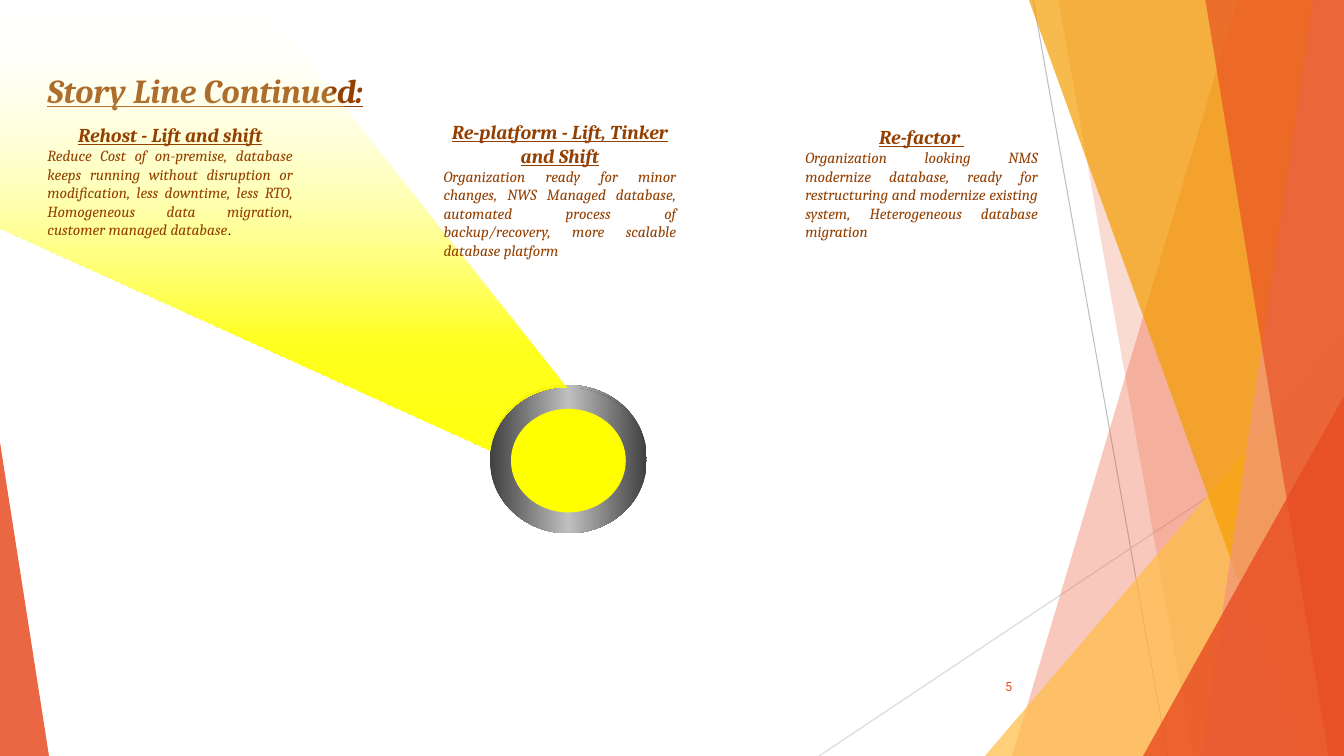
from dataclasses import dataclass

from lxml.etree import SubElement
from pptx import Presentation
from pptx.dml.color import RGBColor
from pptx.enum.shapes import MSO_CONNECTOR, MSO_SHAPE
from pptx.enum.text import MSO_ANCHOR, MSO_AUTO_SIZE, PP_ALIGN
from pptx.oxml.ns import qn
from pptx.util import Pt


@dataclass(frozen=True)
class Theme:
    """Colours, fonts and type sizes of the slide."""
    ink: str = "933F00"
    black: str = "000000"
    red: str = "E84C22"
    salmon: str = "F1947A"
    amber: str = "FFBD47"
    orange: str = "F49D00"
    light: str = "FFFF00"
    dark_steel: str = "404040"
    steel: str = "BFBFBF"
    pale_line: str = "D9D9D9"
    white: str = "FFFFFF"
    serif: str = "Cambria"
    sans: str = "Roboto"
    title: int = 24
    heading: int = 14
    body: int = 11
    number: int = 9


THEME = Theme()
WIDTH, HEIGHT = 960, 540
HEADING = {"name": THEME.serif, "size": Pt(THEME.heading), "bold": True, "italic": True, "underline": True}
TITLE = {**HEADING, "size": Pt(THEME.title)}
BODY = {**HEADING, "size": Pt(THEME.body), "bold": False, "underline": False}
STOP = {**BODY, "name": THEME.sans, "italic": False}
NUMBER = {"name": THEME.sans, "size": Pt(THEME.number)}

COLUMNS = [
    (1, (26.6, 84.2, 190, 104.4), "Rehost - Lift and shift",
     "Reduce Cost of on-premise, database keeps running without disruption or modification, "
     "less downtime, less RTO, Homogeneous data migration, customer managed database", "."),
    (2, (309.6, 82.1, 180.7, 108), "Re-platform - Lift, Tinker and Shift",
     "Organization ready for minor changes, NWS Managed database, automated process of "
     "backup/recovery, more scalable database platform", ""),
    (3, (568, 85.7, 180.7, 90.7), "Re-factor ",
     "Organization looking NMS modernize database, ready for restructuring and modernize "
     "existing system, Heterogeneous database migration", ""),
]


def apply(target, values):
    """Set every attribute named in values on target."""
    for name, value in values.items():
        setattr(target, name, value)


def place(shape, box):
    """Move and size a shape to a box given in points."""
    apply(shape, dict(zip(("left", "top", "width", "height"), map(Pt, box))))


def bring_to_front(shape):
    """Put a shape on top of everything drawn so far."""
    shape.element.getparent().append(shape.element)


def add_alpha(color, percent):
    """Give a colour element an opacity."""
    SubElement(color, qn("a:alpha")).set("val", str(percent * 1000))


def paint(shape, color, opacity=100):
    """Fill a shape plainly, without outline or shadow."""
    shape.shadow.inherit = False
    shape.line.fill.background()
    shape.fill.solid()
    shape.fill.fore_color.rgb = RGBColor.from_string(color)
    if opacity < 100:
        add_alpha(shape.element.spPr.find(qn("a:solidFill"))[0], opacity)


def paint_gradient(shape, stops, angle):
    """Fill a shape with (position, colour, opacity) stops."""
    paint(shape, stops[0][1])
    shape.fill.gradient()
    gradient = shape.element.spPr.find(qn("a:gradFill"))
    stop_list = gradient.find(qn("a:gsLst"))
    for old in list(stop_list):
        stop_list.remove(old)
    for position, color, opacity in stops:
        stop = SubElement(stop_list, qn("a:gs"), pos=str(position * 1000))
        add_alpha(SubElement(stop, qn("a:srgbClr"), val=color), opacity)
    gradient.find(qn("a:lin")).set("ang", str(angle * 60000))


def add_polygon(page, points):
    """Draw a closed outline through points."""
    builder = page.shapes.build_freeform(*points[0], scale=Pt(1))
    builder.add_line_segments(points[1:], close=True)
    return builder.convert_to_shape()


def write(para, text, values, color=THEME.ink):
    """Append a formatted span to a paragraph."""
    span = para.add_run()
    span.text = text
    apply(span.font, values)
    span.font.color.rgb = RGBColor.from_string(color)


def prepare_text(shape, anchor=MSO_ANCHOR.TOP, fit=MSO_AUTO_SIZE.SHAPE_TO_FIT_TEXT):
    """Set wrapping, anchor and fit, and return the text frame."""
    apply(shape.text_frame, {"word_wrap": True, "vertical_anchor": anchor, "auto_size": fit})
    return shape.text_frame


def format_para(para, align):
    """Align a paragraph and clear its spacing, indent and bullet."""
    apply(para, {"alignment": align, "space_before": Pt(0), "space_after": Pt(0), "line_spacing": 1.0})
    properties = para._p.get_or_add_pPr()
    properties.set("marL", "0")
    properties.set("indent", "0")
    SubElement(properties, qn("a:buNone"))


def draw_backdrop(page, box):
    """Draw the thin lines and translucent facets along the edges."""
    left, top, width, height = box
    right, bottom = left + width, top + height
    for start, end, color in [((738, top), (834, bottom), THEME.steel),
                              ((right, 290), (585, bottom), THEME.pale_line)]:
        line = page.shapes.add_connector(MSO_CONNECTOR.STRAIGHT, *map(Pt, start + end))
        line.line.width = Pt(0.75)
        line.line.color.rgb = RGBColor.from_string(color)
        SubElement(line.element.spPr, qn("a:effectLst"))

    def slab(upper, lower, color, opacity):
        """Fill from a slanted edge to the right side."""
        points = [(upper, top), (right, top), (right, bottom), (lower, bottom)]
        paint(add_polygon(page, points), color, opacity)

    def wedge(start, peak, span, apex, color, opacity):
        """Draw a right triangle standing on the bottom edge."""
        shape = page.shapes.add_shape(MSO_SHAPE.ISOSCELES_TRIANGLE, *map(Pt, (start, peak, span, bottom - peak)))
        shape.adjustments[0] = apex
        paint(shape, color, opacity)

    slab(884, 723, THEME.red, 30)
    slab(756, 852, THEME.red, 20)
    wedge(703.5, 240, right - 703.5, 1, THEME.amber, 72)
    slab(735, 930, THEME.orange, 70)
    slab(938, 858, THEME.salmon, 70)
    slab(861, 949, THEME.red, 65)
    wedge(816.5, 283, right - 816.5, 1, THEME.red, 80)
    wedge(left, 316, 35, 0, THEME.red, 85)


def draw_lamp(page, box):
    """Draw the steel ring and its glowing lens."""
    left, top, width, height = box
    ring = page.shapes.add_shape(MSO_SHAPE.OVAL, *map(Pt, box))
    steel = [(0, THEME.dark_steel, 100), (50, THEME.steel, 100), (100, THEME.dark_steel, 100)]
    paint_gradient(ring, steel, 0)
    lens = page.shapes.add_shape(MSO_SHAPE.OVAL, *map(Pt, (left + 15, top + 15, width - 30, height - 30)))
    paint(lens, THEME.light)


def draw_beam(page, box):
    """Draw the light cone fading towards the top left."""
    left, top, width, height = box
    right, bottom = left + width, top + height
    beam = add_polygon(page, [(right, bottom), (left + 195, top), (left, top),
                              (left + 3, top + 159.5), (left + 370, bottom)])
    stops = [(0, THEME.white, 0), (74, THEME.light, 86), (83, THEME.light, 90), (100, THEME.light, 94)]
    paint_gradient(beam, stops, 90)


def write_title(page, box):
    """Fill the title placeholder."""
    title = page.shapes.title
    place(title, box)
    bring_to_front(title)
    para = prepare_text(title).paragraphs[0]
    format_para(para, PP_ALIGN.LEFT)
    write(para, "Story Line Continued:", TITLE)


def write_column(page, index, box, heading, body, ending):
    """Fill one body placeholder with a heading and a paragraph."""
    column = page.placeholders[index]
    place(column, box)
    bring_to_front(column)
    frame = prepare_text(column)
    format_para(frame.paragraphs[0], PP_ALIGN.CENTER)
    write(frame.paragraphs[0], heading, HEADING)
    para = frame.add_paragraph()
    format_para(para, PP_ALIGN.JUSTIFY)
    write(para, body, BODY)
    if ending:
        write(para, ending, STOP, THEME.black)


def write_number(page, box):
    """Write the page number."""
    frame = prepare_text(page.shapes.add_textbox(*map(Pt, box)), MSO_ANCHOR.MIDDLE, MSO_AUTO_SIZE.NONE)
    frame.paragraphs[0].alignment = PP_ALIGN.RIGHT
    write(frame.paragraphs[0], "5", NUMBER, THEME.red)


def main():
    """Build the slide and save the deck."""
    deck = Presentation()
    apply(deck, {"slide_width": Pt(WIDTH), "slide_height": Pt(HEIGHT)})
    page = deck.slides.add_slide(deck.slide_layouts.get_by_name("Comparison"))
    spare = page.placeholders[4].element
    spare.getparent().remove(spare)
    draw_backdrop(page, (0, 0, WIDTH, HEIGHT))
    draw_lamp(page, (350, 275, 112, 104))
    write_number(page, (676, 476, 54, 28.8))
    write_title(page, (26.6, 46, 410.4, 36))
    draw_beam(page, (-10, 0.5, 453.5, 325))
    draw_lamp(page, (350, 277, 112, 104))
    for column in COLUMNS:
        write_column(page, *column)
    deck.save("out.pptx")


if __name__ == "__main__":
    main()
